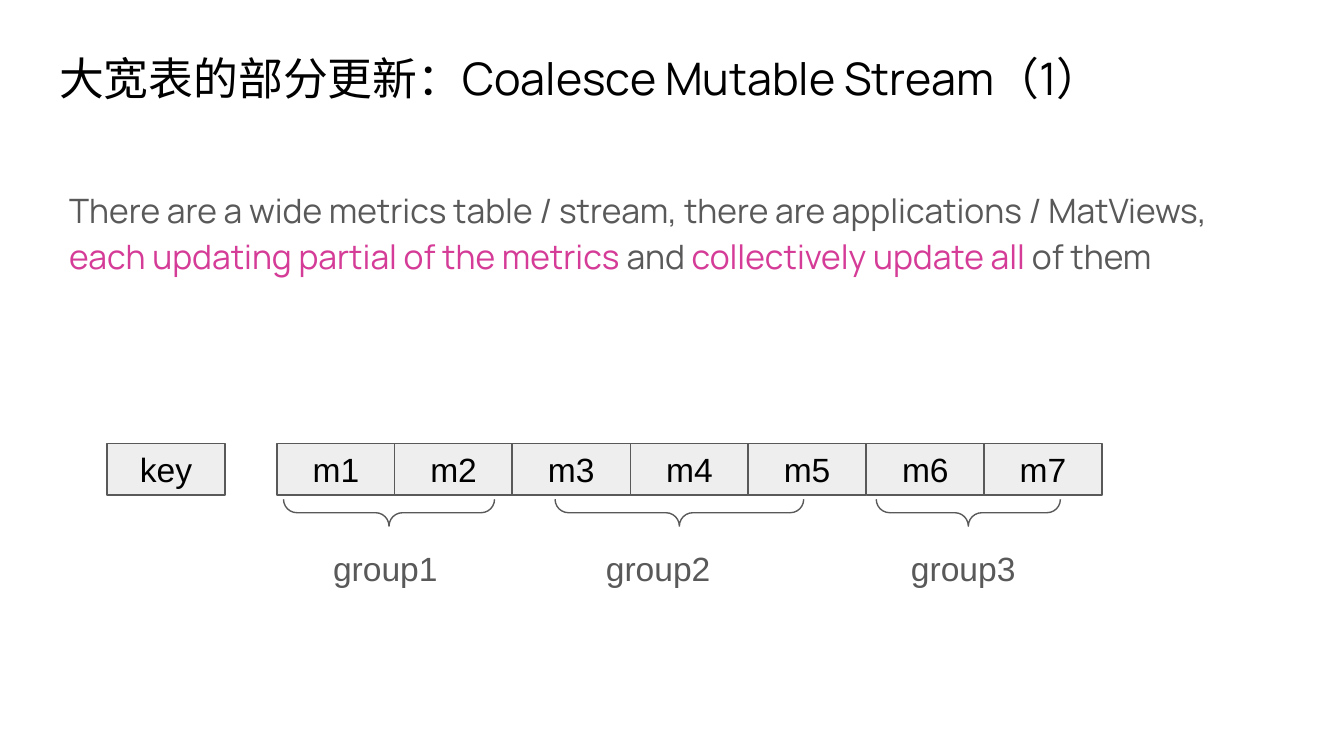
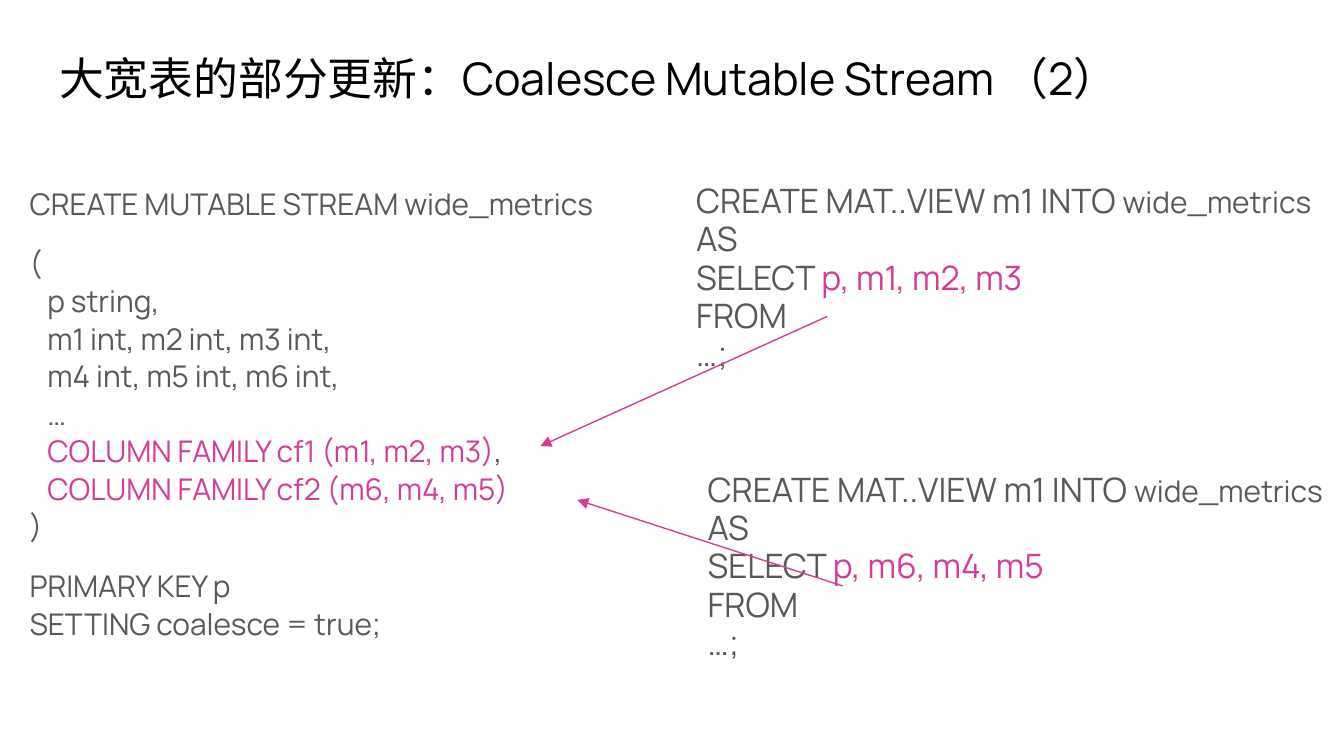
from dataclasses import dataclass
from typing import Optional

import pptx
import pptx.dml.color
import pptx.enum.shapes
import pptx.enum.text
import pptx.oxml.ns
import pptx.util
from lxml import etree
from pptx.shapes.autoshape import Shape
from pptx.slide import Slide

EMU_PER_PX = 4572  # 200 px to the inch
PAGE_WIDTH, PAGE_HEIGHT = 2000, 1125


@dataclass(frozen=True)
class Theme:
    background: str = "FFFFFF"
    title: str = "000000"
    body: str = "595959"
    accent: str = "D53C97"
    cell: str = "EEEEEE"
    text_font: str = "Manrope"
    diagram_font: str = "Arial"
    title_size: int = 24
    body_size: int = 18
    code_size: int = 16
    line_width: float = 0.75


@dataclass(frozen=True)
class Frame:
    left: int
    top: int
    width: int
    height: int


@dataclass(frozen=True)
class Span:
    text: str
    color: Optional[str] = None
    size: Optional[int] = None


@dataclass(frozen=True)
class Para:
    spans: tuple[Span, ...]
    size: int
    color: str
    font: str
    line_spacing: float = 1.0
    before: int = 0
    after: int = 0
    align: pptx.enum.text.PP_ALIGN = pptx.enum.text.PP_ALIGN.LEFT


@dataclass(frozen=True)
class Group:
    name: str
    label_left: int
    brace_left: int
    brace_width: int


@dataclass(frozen=True)
class View:
    frame: Frame
    columns: str


@dataclass(frozen=True)
class Arrow:
    start: tuple[int, int]
    end: tuple[int, int]


THEME = Theme()
TITLE_FRAME = Frame(68, 56, 1864, 126)
INSET = 20

# Wide table: one key cell, then seven metric cells sharing a row
KEY_LEFT, METRICS_LEFT, METRICS_SPAN, METRIC_COUNT = 159, 412, 1228, 7
ROW_TOP, CELL_WIDTH, CELL_HEIGHT = 660, 176, 77
BRACE_TOP, BRACE_HEIGHT, LABEL_TOP = 743, 40, 796
GROUPS = (
    Group("group1", 476, 422, 314),
    Group("group2", 882, 826, 370),
    Group("group3", 1336, 1304, 274),
)

VIEWS = (
    View(Frame(1016, 252, 1000, 410), "p, m1, m2, m3"),
    View(Frame(1033, 682, 1000, 410), "p, m6, m4, m5"),
)
ARROWS = (
    Arrow((1231, 471), (804, 664)),
    Arrow((1254, 872), (859, 744)),
)


def px(value: int) -> pptx.util.Emu:
    return pptx.util.Emu(value * EMU_PER_PX)


def rgb(color: str) -> pptx.dml.color.RGBColor:
    return pptx.dml.color.RGBColor.from_string(color)


def place(box: Shape, frame: Frame) -> None:
    box.left, box.top = px(frame.left), px(frame.top)
    box.width, box.height = px(frame.width), px(frame.height)


def write_span(paragraph, span: Span) -> None:
    """Add a span, turning each newline into a line break."""
    for index, line in enumerate(span.text.split("\n")):
        if index:
            paragraph.add_line_break()
        if not line:
            continue
        run = paragraph.add_run()
        run.text = line
        if span.color:
            run.font.color.rgb = rgb(span.color)
        if span.size:
            run.font.size = pptx.util.Pt(span.size)


def write(box: Shape, paras: tuple[Para, ...], middle: bool = False) -> None:
    frame = box.text_frame
    frame.word_wrap = True
    frame.auto_size = pptx.enum.text.MSO_AUTO_SIZE.NONE
    anchors = pptx.enum.text.MSO_ANCHOR
    frame.vertical_anchor = anchors.MIDDLE if middle else anchors.TOP
    frame.margin_left = frame.margin_right = px(INSET)
    frame.margin_top = frame.margin_bottom = px(INSET)
    for index, para in enumerate(paras):
        paragraph = frame.add_paragraph() if index else frame.paragraphs[0]
        properties = paragraph._p.get_or_add_pPr()
        properties.set("marL", "0")
        properties.set("indent", "0")
        etree.SubElement(properties, pptx.oxml.ns.qn("a:buNone"))
        paragraph.alignment = para.align
        paragraph.line_spacing = para.line_spacing
        paragraph.space_before = pptx.util.Pt(para.before)
        paragraph.space_after = pptx.util.Pt(para.after)
        paragraph.font.name = para.font
        paragraph.font.size = pptx.util.Pt(para.size)
        paragraph.font.bold = False
        paragraph.font.color.rgb = rgb(para.color)
        for span in para.spans:
            write_span(paragraph, span)


def diagram_para(text: str, color: str, align=pptx.enum.text.PP_ALIGN.LEFT) -> Para:
    return Para((Span(text),), THEME.body_size, color, THEME.diagram_font, align=align)


def add_page(deck, layout_index: int, title: str) -> Slide:
    page = deck.slides.add_slide(deck.slide_layouts[layout_index])
    page.background.fill.solid()
    page.background.fill.fore_color.rgb = rgb(THEME.background)
    place(page.shapes.title, TITLE_FRAME)
    write(page.shapes.title,
          (Para((Span(title),), THEME.title_size, THEME.title, THEME.text_font),))
    return page


def fill_body(page: Slide, index: int, frame: Frame, paras: tuple[Para, ...]) -> None:
    body = page.placeholders[index]
    place(body, frame)
    write(body, paras)


def remove_empty_placeholders(page: Slide) -> None:
    for box in list(page.placeholders):
        if not box.text_frame.text:
            box._element.getparent().remove(box._element)


def outline(box: Shape) -> None:
    box.shadow.inherit = False
    box.line.color.rgb = rgb(THEME.body)
    box.line.width = pptx.util.Pt(THEME.line_width)


def add_cell(page: Slide, text: str, left: int) -> None:
    cell = page.shapes.add_shape(
        pptx.enum.shapes.MSO_SHAPE.RECTANGLE,
        px(left), px(ROW_TOP), px(CELL_WIDTH), px(CELL_HEIGHT))
    outline(cell)
    cell.fill.solid()
    cell.fill.fore_color.rgb = rgb(THEME.cell)
    write(cell, (diagram_para(text, THEME.title, pptx.enum.text.PP_ALIGN.CENTER),),
          middle=True)


def add_group(page: Slide, group: Group) -> None:
    # The brace stands upright around its centre before it is turned
    center_x = group.brace_left + group.brace_width // 2
    center_y = BRACE_TOP + BRACE_HEIGHT // 2
    brace = page.shapes.add_shape(
        pptx.enum.shapes.MSO_SHAPE.LEFT_BRACE,
        px(center_x - BRACE_HEIGHT // 2), px(center_y - group.brace_width // 2),
        px(BRACE_HEIGHT), px(group.brace_width))
    brace.rotation = 270
    brace.adjustments[0] = brace.adjustments[1] = 0.5
    brace.fill.background()
    outline(brace)
    label = page.shapes.add_textbox(px(group.label_left), px(LABEL_TOP), px(232), px(100))
    write(label, (diagram_para(group.name, THEME.body),))


def add_arrow(page: Slide, arrow: Arrow) -> None:
    connector = page.shapes.add_connector(
        pptx.enum.shapes.MSO_CONNECTOR.STRAIGHT,
        *map(px, arrow.start), *map(px, arrow.end))
    connector.line.color.rgb = rgb(THEME.accent)
    connector.line.width = pptx.util.Pt(THEME.line_width)
    properties = connector._element.spPr
    line = properties.find(pptx.oxml.ns.qn("a:ln"))
    etree.SubElement(line, pptx.oxml.ns.qn("a:tailEnd"), type="triangle")
    etree.SubElement(properties, pptx.oxml.ns.qn("a:effectLst"))


def build_table_page(deck) -> None:
    page = add_page(deck, 1, "大宽表的部分更新：Coalesce Mutable Stream（1）")
    spans = (
        Span("There are a wide metrics table / stream, there are applications / MatViews, "),
        Span("each updating partial of the metrics", THEME.accent),
        Span(" and "),
        Span("collectively update all ", THEME.accent),
        Span("of them"),
    )
    fill_body(page, 1, Frame(83, 253, 1750, 212), (
        Para(spans, THEME.body_size, THEME.body, THEME.text_font, 1.15, after=12),))
    for index in range(METRIC_COUNT):
        add_cell(page, f"m{index + 1}", METRICS_LEFT + METRICS_SPAN * index // METRIC_COUNT)
    add_cell(page, "key", KEY_LEFT)
    for group in GROUPS:
        add_group(page, group)


def code_para(*spans: Span, before: int = 0, after: int = 0) -> Para:
    return Para(spans, THEME.code_size, THEME.body, THEME.text_font, 1.05, before, after)


def view_para(columns: str) -> Para:
    spans = (
        Span("CREATE MAT..VIEW m1 INTO "),
        Span("wide_metrics", size=THEME.code_size),
        Span("\nAS\nSELECT "),
        Span(columns, THEME.accent),
        Span("\nFROM\n…;"),
    )
    return Para(spans, THEME.body_size, THEME.body, THEME.text_font, 0.95, after=12)


def build_code_page(deck) -> None:
    page = add_page(deck, 4, "大宽表的部分更新：Coalesce Mutable Stream （2）")
    # Stream definition
    fill_body(page, 2, Frame(24, 253, 1118, 748), (
        code_para(Span("CREATE MUTABLE STREAM wide_metrics")),
        code_para(
            Span("(\n   p string,\n   m1 int, m2 int, m3 int,\n"
                 "   m4 int, m5 int, m6 int,\n   …\n   "),
            Span("COLUMN FAMILY cf1 (m1, m2, m3)", THEME.accent),
            Span(",\n   "),
            Span("COLUMN FAMILY cf2 (m6, m4, m5)", THEME.accent),
            Span("\n)"),
            before=12),
        code_para(Span("PRIMARY KEY p\nSETTING coalesce = true;"), before=12, after=12),
    ))
    # Views that each feed one column family
    for index, view in enumerate(VIEWS, start=3):
        fill_body(page, index, view.frame, (view_para(view.columns),))
    for arrow in ARROWS:
        add_arrow(page, arrow)
    remove_empty_placeholders(page)


def main() -> None:
    deck = pptx.Presentation()
    deck.slide_width, deck.slide_height = px(PAGE_WIDTH), px(PAGE_HEIGHT)
    build_table_page(deck)
    build_code_page(deck)
    deck.save("out.pptx")


if __name__ == "__main__":
    main()
